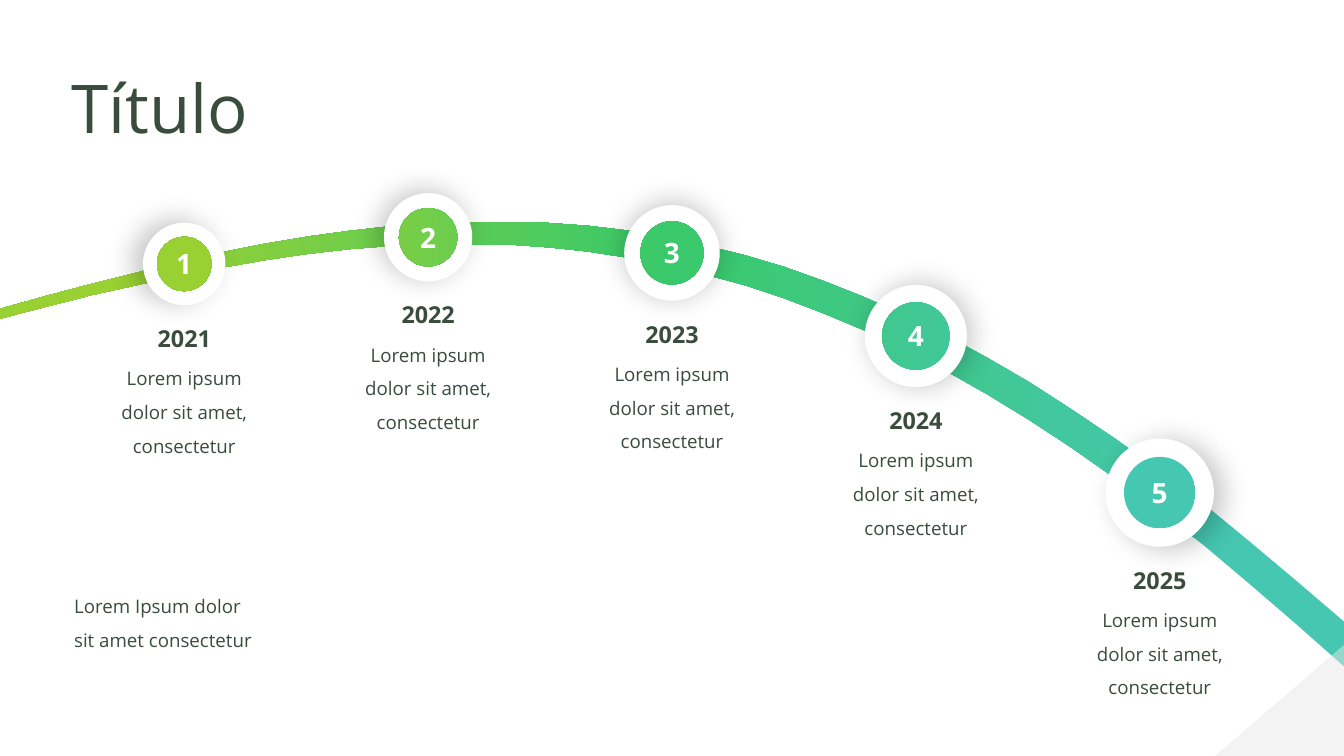
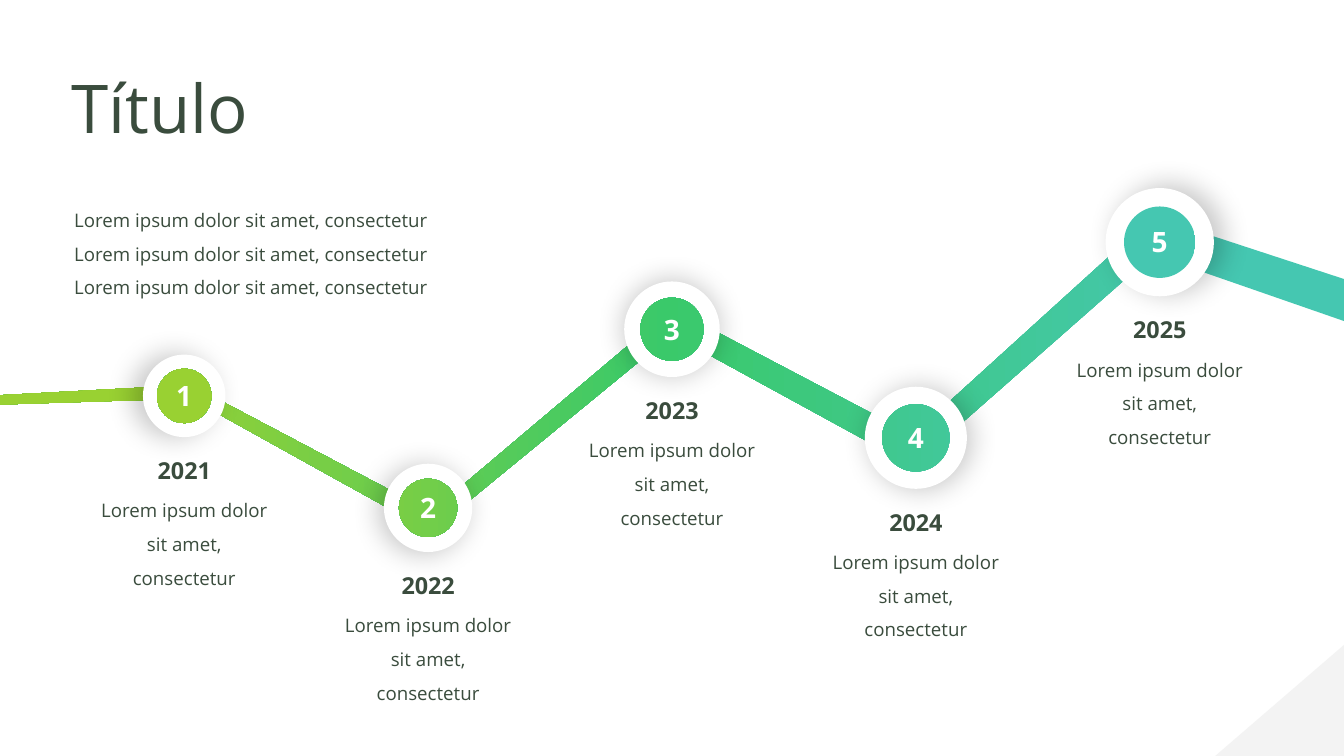
from copy import deepcopy

from pptx import Presentation
from pptx.dml.color import RGBColor
from pptx.enum.shapes import MSO_SHAPE
from pptx.enum.text import MSO_AUTO_SIZE, PP_ALIGN
from pptx.oxml import parse_xml
from pptx.oxml.ns import nsdecls, qn
from pptx.util import Pt

LEFT, CENTER = PP_ALIGN.LEFT, PP_ALIGN.CENTER
TRIANGLE = MSO_SHAPE.ISOSCELES_TRIANGLE
FIT_SHAPE = MSO_AUTO_SIZE.SHAPE_TO_FIT_TEXT

WIDTH, HEIGHT = 1440, 810
FONT = "Open Sans"
INK, WHITE, CORNER = "3A4C3D", "FFFFFF", "E8E8E8"
GRADIENT = ((0.1, "45C7B1"), (0.51, "3AC96A"), (0.9, "99D132"))

TITLE = {"size": Pt(72), "bold": False}
BODY = {"size": Pt(20), "bold": False}
YEAR = {"size": Pt(25), "bold": True}
NUMBER = {"size": Pt(30), "bold": True}

LOREM = "Lorem ipsum dolor sit amet, consectetur"
FIRST_YEAR = 2021
STEP_X = [720 + 261.3 * offset for offset in range(-2, 3)]
RING_RADII = (44.2, 47.3, 51.2, 54.7, 58)
DISC_RATIO = 0.66
ARC_HANDLE = 0.55

CURVE_EDGES = (
    (0, 331, 341.5), (50, 317, 328.5), (99, 304, 316), (147, 292, 305.5),
    (194, 280, 295), (240, 270, 286.5), (285, 261, 278.5), (330, 253.5, 272),
    (374, 247.5, 267), (418, 242.5, 263.5), (461, 239, 262), (503, 237.5, 261.5),
    (546, 237.5, 262), (588, 239, 265), (630, 242, 269.5), (672, 247, 276),
    (714, 254, 283.5), (755, 263, 294), (798, 273.5, 305.5), (840, 286, 319.5),
    (882, 301, 335.5), (925, 318, 353.5), (968, 337, 373.5), (1012, 358.5, 396.5),
    (1057, 383, 422), (1102, 409, 449.5), (1147, 438, 479), (1194, 469.5, 512),
    (1241, 503, 546.5), (1290, 540, 584.5), (1338, 579.5, 625), (1388, 621.5, 668),
    (1440, 666, 714),
)
ZIGZAG_EDGES = (
    (0, 423.5, 433.5), (204.5, 412.5, 427), (462, 548.5, 570), (720, 330.5, 358.5),
    (978, 466, 499.5), (1235.5, 232, 273), (1440, 299, 344),
)


def color(value):
    return RGBColor.from_string(value)


def add_text(page, box, paragraphs, style, align=LEFT, ink=INK, spacing=1.0):
    frame = page.shapes.add_textbox(*map(Pt, box)).text_frame
    frame.word_wrap = True
    frame.auto_size = FIT_SHAPE
    for index, text in enumerate(paragraphs):
        para = frame.add_paragraph() if index else frame.paragraphs[0]
        para.text = text
        para.alignment = align
        para.line_spacing = spacing
        for span in para.runs:
            for name, value in style.items():
                setattr(span.font, name, value)
            span.font.name = FONT
            span.font.color.rgb = color(ink)


def add_outline(page, contours):
    builder = None
    for contour in contours:
        points = [(Pt(x), Pt(y)) for x, y in contour]
        if builder is None:
            builder = page.shapes.build_freeform(*points[0])
        else:
            builder.move_to(*points[0])
        builder.add_line_segments(points[1:])
    shape = builder.convert_to_shape()
    shape.shadow.inherit = False
    shape.line.fill.background()
    return shape


def fill_gradient(shape):
    shape.fill.gradient()
    stops = shape.element.spPr.find(qn("a:gradFill")).find(qn("a:gsLst"))
    stops.append(deepcopy(stops[0]))
    for stop, (position, value) in zip(shape.fill.gradient_stops, GRADIENT):
        stop.position = position
        stop.color.rgb = color(value)
    shape.fill.gradient_angle = 180


def add_glow(shape):
    effects = shape.element.spPr.find(qn("a:effectLst"))
    effects.append(parse_xml(
        f'<a:outerShdw {nsdecls("a")} blurRad="{Pt(29)}" sx="102000" sy="102000" '
        'algn="ctr" rotWithShape="0"><a:srgbClr val="000000">'
        '<a:alpha val="21000"/></a:srgbClr></a:outerShdw>'))


def diamond(x, y, radius):
    return [(x, y - radius), (x + radius, y), (x, y + radius), (x - radius, y),
            (x, y - radius)]


def handle(point, corner):
    return tuple(round(a + ARC_HANDLE * (b - a)) for a, b in zip(point, corner))


def round_diamonds(shape):
    outline = shape.element.spPr.find(f".//{qn('a:path')}")
    start, side = None, 0
    for command in list(outline):
        if command.tag == qn("a:close"):
            continue
        end = int(command[0].get("x")), int(command[0].get("y"))
        if command.tag == qn("a:moveTo"):
            side = 0
        else:
            corner = (start[0], end[1]) if side % 2 else (end[0], start[1])
            points = handle(start, corner), handle(end, corner), end
            marks = "".join(f'<a:pt x="{x}" y="{y}"/>' for x, y in points)
            outline.replace(command, parse_xml(
                f'<a:cubicBezTo {nsdecls("a")}>{marks}</a:cubicBezTo>'))
            side += 1
        start = end


def add_circles(page, circles):
    shape = add_outline(page, [diamond(*circle) for circle in circles])
    round_diamonds(shape)
    return shape


def add_ribbon(page, edges):
    top = [(x, upper) for x, upper, lower in edges]
    bottom = [(x, lower) for x, upper, lower in reversed(edges)]
    fill_gradient(add_outline(page, [top + bottom + top[:1]]))


def add_markers(page, steps):
    rings = add_circles(page, steps)
    rings.fill.solid()
    rings.fill.fore_color.rgb = color(WHITE)
    add_glow(rings)
    fill_gradient(add_circles(
        page, [(x, y, radius * DISC_RATIO) for x, y, radius in steps]))


def add_step(page, index, x, y, radius, text_width):
    year_top = y + radius + 17
    add_text(page, (x - 54, y - 22, 108, 44), [str(index + 1)], NUMBER, CENTER, WHITE)
    add_text(page, (x - 67.5, year_top, 135, 37.5), [str(FIRST_YEAR + index)], YEAR, CENTER)
    add_text(page, (x - text_width / 2, year_top + 34, text_width, 112), [LOREM],
             BODY, CENTER, spacing=1.5)


def add_frame(page):
    corner = page.shapes.add_shape(
        TRIANGLE, *map(Pt, (WIDTH - 138, HEIGHT - 119, 138, 119)))
    corner.adjustments[0] = 1
    corner.shadow.inherit = False
    corner.line.fill.background()
    corner.fill.solid()
    corner.fill.fore_color.rgb = color(CORNER)
    tint = corner.element.spPr.find(qn("a:solidFill"))[0]
    tint.append(parse_xml(f'<a:alpha {nsdecls("a")} val="50000"/>'))
    add_text(page, (69.5, 68, 363, 94), ["Título"], TITLE)


def add_timeline(deck, edges, step_y, text_width, note_box, note):
    page = deck.slides.add_slide(deck.slide_layouts[6])
    steps = list(zip(STEP_X, step_y, RING_RADII))
    add_ribbon(page, edges)
    add_markers(page, steps)
    for index, step in enumerate(steps):
        add_step(page, index, *step, text_width)
    add_frame(page)
    add_text(page, note_box, note, BODY, spacing=1.5)


def main():
    deck = Presentation()
    deck.slide_width, deck.slide_height = Pt(WIDTH), Pt(HEIGHT)
    add_timeline(deck, CURVE_EDGES, (282.8, 254.2, 271, 360, 527.8), 168,
                 (72.3, 622, 531, 112), ["Lorem Ipsum dolor\vsit amet consectetur"])
    add_timeline(deck, ZIGZAG_EDGES, (424.2, 544.2, 352.8, 469.1, 259.5), 205,
                 (72.3, 208.3, 531, 149), [LOREM] * 3)
    deck.save("out.pptx")


if __name__ == "__main__":
    main()
